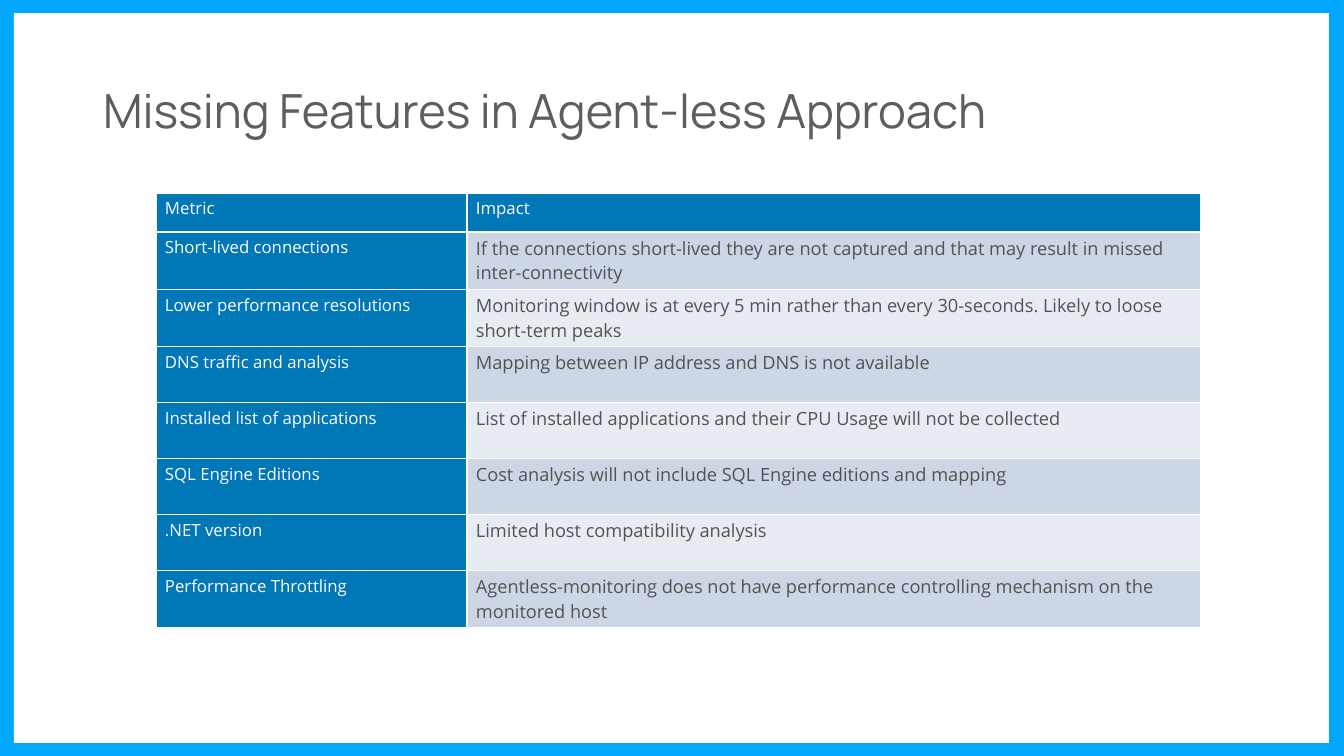
from dataclasses import dataclass

from lxml.etree import SubElement
from pptx import Presentation
from pptx.dml.color import RGBColor as Rgb
from pptx.enum.shapes import MSO_SHAPE as Shape
from pptx.enum.text import MSO_ANCHOR as Anchor, MSO_AUTO_SIZE as Fit, PP_ALIGN as Align
from pptx.oxml.ns import qn
from pptx.util import Emu, Pt

SCALE = 914400 / 100.8
HUES = {
    "sky": "01A7FF", "white": "FFFFFF", "blue": "0077B6",
    "dark": "CCD6E5", "light": "E7ECF3", "title": "5E5E5E", "body": "535353",
}


@dataclass
class Box:
    left: int
    top: int
    width: int
    height: int

    def emu(self) -> list[Emu]:
        return [px(n) for n in (self.left, self.top, self.width, self.height)]


@dataclass
class Row:
    metric: str
    impact: str


FRAME = Box(14, 13, 1315, 730)
TITLE = Box(93, 40, 1035, 146)
GRID = Box(156, 193, 1045, 431)
COLS = (311, 734)
HEAD = 39
ROWS = [
    Row("Metric", "Impact"),
    Row("Short-lived connections",
        "If the connections short-lived they are not captured and that may result in missed "
        "inter-connectivity"),
    Row("Lower performance resolutions",
        "Monitoring window is at every 5 min rather than every 30-seconds. Likely to loose "
        "short-term peaks"),
    Row("DNS traffic and analysis", "Mapping between IP address and DNS is not available"),
    Row("Installed list of applications",
        "List of installed applications and their CPU Usage will not be collected"),
    Row("SQL Engine Editions",
        "Cost analysis will not include SQL Engine editions and mapping"),
    Row(".NET version", "Limited host compatibility analysis"),
    Row("Performance Throttling",
        "Agentless-monitoring does not have performance controlling mechanism on the "
        "monitored host"),
]


def px(n: int) -> Emu:
    return Emu(round(n * SCALE))


def paint(fill, hue: str) -> None:
    fill.solid()
    fill.fore_color.rgb = Rgb.from_string(HUES[hue])


def write(frame, text: str, *, size: float, hue: str, font: str = "Open Sans",
          lead: float = 1.0) -> None:
    frame.word_wrap = True
    par = frame.paragraphs[0]
    par.alignment = Align.LEFT
    par.line_spacing = lead
    run = par.add_run()
    run.text = text
    run.font.name = font
    run.font.size = Pt(size)
    run.font.bold = False
    run.font.color.rgb = Rgb.from_string(HUES[hue])


def edge(cell) -> None:
    props = cell._tc.get_or_add_tcPr()
    for side in ("lnL", "lnR", "lnT", "lnB"):
        line = SubElement(props, qn(f"a:{side}"), w=str(Pt(1)))
        fill = SubElement(line, qn("a:solidFill"))
        SubElement(fill, qn("a:srgbClr"), val=HUES["white"])


def draw_cell(cell, text: str, *, back: str, size: float, hue: str) -> None:
    cell.margin_left = cell.margin_right = px(9)
    cell.margin_top = cell.margin_bottom = px(4)
    cell.vertical_anchor = Anchor.TOP
    edge(cell)
    paint(cell.fill, back)
    write(cell.text_frame, text, size=size, hue=hue)


def draw_grid(slide, rows: list[Row]) -> None:
    table = slide.shapes.add_table(len(rows), len(COLS), *GRID.emu()).table
    for col, width in zip(table.columns, COLS):
        col.width = px(width)
    step = (GRID.height - HEAD) // (len(rows) - 1)
    for i, row in enumerate(rows):
        table.rows[i].height = px(step if i else HEAD)
        label = dict(back="blue", size=12, hue="white")
        note = dict(back="dark" if i % 2 else "light", size=13, hue="body")
        draw_cell(table.cell(i, 0), row.metric, **label)
        draw_cell(table.cell(i, 1), row.impact, **(note if i else label))


def main() -> None:
    deck = Presentation()
    deck.slide_width, deck.slide_height = px(1344), px(756)
    slide = deck.slides.add_slide(deck.slide_layouts[5])
    paint(slide.background.fill, "sky")

    # White panel, behind the title
    panel = slide.shapes.add_shape(Shape.RECTANGLE, *FRAME.emu())
    panel.shadow.inherit = False
    paint(panel.fill, "white")
    panel.line.fill.background()
    slide.shapes.element.insert(2, panel.element)

    # Title
    title = slide.shapes.title
    title.left, title.top, title.width, title.height = TITLE.emu()
    title.text_frame.auto_size = Fit.NONE
    title.text_frame.vertical_anchor = Anchor.MIDDLE
    write(title.text_frame, "Missing Features in Agent-less Approach",
          size=33.6, hue="title", font="Manrope", lead=0.9)

    # Table of metrics
    draw_grid(slide, ROWS)
    deck.save("out.pptx")


if __name__ == "__main__":
    main()
